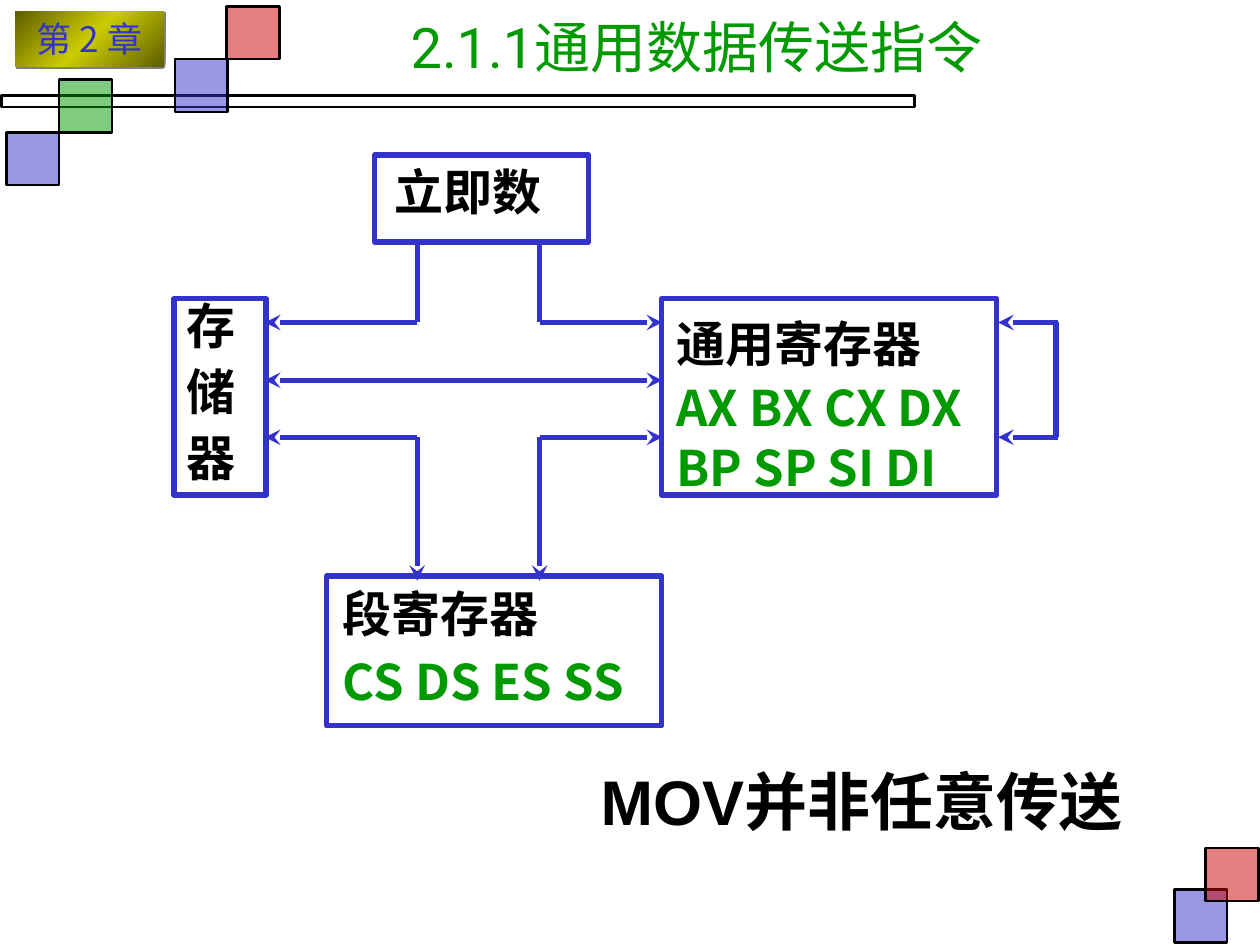
import pptx
import pptx.dml.color
import pptx.enum.shapes
import pptx.enum.text
import pptx.oxml
import pptx.oxml.ns
import pptx.util

Pt = pptx.util.Pt
ALIGN = pptx.enum.text.PP_ALIGN
ANCHOR = pptx.enum.text.MSO_ANCHOR
RECT = pptx.enum.shapes.MSO_SHAPE.RECTANGLE
STRAIGHT = pptx.enum.shapes.MSO_CONNECTOR.STRAIGHT
NS = pptx.oxml.ns.nsdecls("a")
BLUE, GREEN, RED, BLACK = "3333CC", "009900", "CC0000", "000000"
CJK = "Noto Sans CJK SC"


def color(value):
    return pptx.dml.color.RGBColor.from_string(value)


def element(xml):
    tag, rest = xml.split(" ", 1) if " " in xml else (xml, "")
    return pptx.oxml.parse_xml(f"<{tag} {NS} {rest}")


def add_rect(slide, box, fill=None, line=None, width=1.5, alpha=None):
    rect = slide.shapes.add_shape(RECT, *map(Pt, box))
    rect.shadow.inherit = False
    if fill:
        rect.fill.solid()
        rect.fill.fore_color.rgb = color(fill)
        if alpha:
            tone = rect.fill._xPr.find(".//" + pptx.oxml.ns.qn("a:srgbClr"))
            tone.append(element(f'a:alpha val="{alpha * 1000}"/>'))
    else:
        rect.fill.background()
    if line:
        rect.line.color.rgb = color(line)
        rect.line.width = Pt(width)
    else:
        rect.line.fill.background()
    return rect


def write(frame, text, size=28, font="Times New Roman", ink=BLACK, bold=False,
          align=ALIGN.LEFT, before=0, spacing=None, first=True):
    paragraph = frame.paragraphs[0] if first else frame.add_paragraph()
    paragraph.alignment = align
    paragraph.space_before = Pt(before)
    if spacing:
        paragraph.line_spacing = spacing
    run = paragraph.add_run()
    run.text = text
    run.font.size = Pt(size)
    run.font.name = font
    run.font.bold = bold
    run.font.color.rgb = color(ink)
    run.font._element.find(pptx.oxml.ns.qn("a:latin")).addnext(
        element(f'a:ea typeface="{CJK}"/>'))
    return paragraph


def add_text_frame(slide, box, anchor=ANCHOR.TOP):
    frame = slide.shapes.add_textbox(*map(Pt, box)).text_frame
    frame.word_wrap = True
    frame.vertical_anchor = anchor
    return frame


def add_line(slide, start, end, head=False, tail=False):
    line = slide.shapes.add_connector(STRAIGHT, *map(Pt, start + end))
    line.line.color.rgb = color(BLUE)
    line.line.width = Pt(3)
    outline = line.line._get_or_add_ln()
    for shown, tag in ((head, "headEnd"), (tail, "tailEnd")):
        if shown:
            outline.append(element(f'a:{tag} type="stealth"/>'))
    outline.addnext(element("a:effectLst />"))


def add_decoration(slide, box):
    left, top, width, height = box
    side = 30.2
    # Rule under the title
    add_rect(slide, (left + 0.7, top + 54.7, 522, 6.5), line=BLACK)
    # Translucent squares: bottom right corner, then top left corner
    right, bottom = left + width, top + height
    squares = [
        (right - 49, bottom - 31.7, BLUE), (right - 31, bottom - 55.4, RED),
        (left + 100, top + 33.8, BLUE), (left + 3.6, top + 75.6, BLUE),
        (left + 33.8, top + 45.4, GREEN), (left + 129.6, top + 3.6, RED),
    ]
    for x, y, fill in squares:
        add_rect(slide, (x, y, side, side), fill, BLACK, alpha=50)


def add_badge(slide, box):
    badge = add_rect(slide, box)
    properties = badge._element.spPr
    stops = "".join(f'<a:gs pos="{at * 1000}"><a:srgbClr val="{tone}"/></a:gs>'
                    for at, tone in ((0, "5E5E00"), (50, "CCCC00"), (100, "5E5E00")))
    properties.replace(
        properties.find(pptx.oxml.ns.qn("a:noFill")),
        element(f'a:gradFill rotWithShape="1"><a:gsLst>{stops}</a:gsLst>'
                '<a:lin ang="2700000" scaled="1"/></a:gradFill>'))
    properties.find(pptx.oxml.ns.qn("a:effectLst")).append(
        element('a:outerShdw dist="17780" dir="2700000" algn="ctr" rotWithShape="0">'
                '<a:srgbClr val="808080"/></a:outerShdw>'))
    frame = badge.text_frame
    frame.word_wrap = True
    frame.vertical_anchor = ANCHOR.TOP
    write(frame, "第 2 章", size=20, font="Noto Sans CJK JP", ink=BLUE, align=ALIGN.CENTER)


def add_node(slide, box, text_box, names, registers=(), name_spacing=None,
             register_spacing=None):
    add_rect(slide, box, line=BLUE, width=3)
    frame = add_text_frame(slide, text_box)
    for index, name in enumerate(names):
        write(frame, name, bold=True, before=17.5, spacing=name_spacing, first=index == 0)
    for register in registers:
        write(frame, register, font=CJK, ink=GREEN, bold=True, before=17.5,
              spacing=register_spacing, first=False)


def add_transfer_diagram(slide, box):
    left, top, width, height = box
    # Transfer paths, on a shared grid of columns and rows
    memory, inner_left, inner_right, general = (left + x for x in (52, 139, 209, 279))
    general_right, loop = left + 471, left + width
    immediate, upper, middle, lower, segment = (top + y for y in (51, 95.7, 128.7, 161.3, 243.3))
    for x, target in ((inner_left, memory), (inner_right, general)):
        add_line(slide, (x, immediate), (x, upper))
        add_line(slide, (x, upper), (target, upper), tail=True)
        add_line(slide, (x, lower), (target, lower), tail=True)
        add_line(slide, (x, lower), (x, segment), tail=True)
    add_line(slide, (memory, middle), (general, middle), head=True, tail=True)
    for y in (upper, lower):
        add_line(slide, (general_right, y), (loop + 1, y), head=True)
    add_line(slide, (loop, upper), (loop, lower))

    # Operand boxes
    add_node(slide, (left + 114.6, top, 122.4, 49.7), (left + 119, top, 108.7, 41),
             ["立即数"])
    add_node(slide, (left + 87.2, top + 240.5, 191.5, 85.7),
             (left + 89.4, top + 241.2, 186.5, 98.6),
             ["段寄存器"], ["CS DS ES SS"], register_spacing=0.6)
    add_node(slide, (left + 278.7, top + 82, 191.5, 112.3),
             (left + 280.2, top + 87.1, 189.4, 143.3),
             ["通用寄存器"], ["AX BX CX DX", "BP SP SI DI"], register_spacing=0.5)
    add_node(slide, (left, top + 82, 52.6, 112.3), (left, top + 88.6, 41.8, 103),
             "存储器", name_spacing=0.6)


def main():
    deck = pptx.Presentation()
    deck.slide_width, deck.slide_height = Pt(720), Pt(540)
    slide = deck.slides.add_slide(deck.slide_layouts[6])

    add_decoration(slide, (0, 0, 720, 540))
    add_badge(slide, (8.6, 6.5, 85, 31.7))

    # Title
    write(add_text_frame(slide, (161.3, 4.3, 473.8, 44.6), ANCHOR.MIDDLE),
          "2.1.1通用数据传送指令", size=32, font="Roboto", ink=GREEN, align=ALIGN.CENTER)

    add_transfer_diagram(slide, (99.4, 88.6, 504, 326))

    # Conclusion
    write(add_text_frame(slide, (336.2, 432, 365.8, 54)), "MOV并非任意传送",
          size=36, font="Arial", bold=True, align=ALIGN.JUSTIFY, before=9)
    deck.save("out.pptx")


if __name__ == "__main__":
    main()
